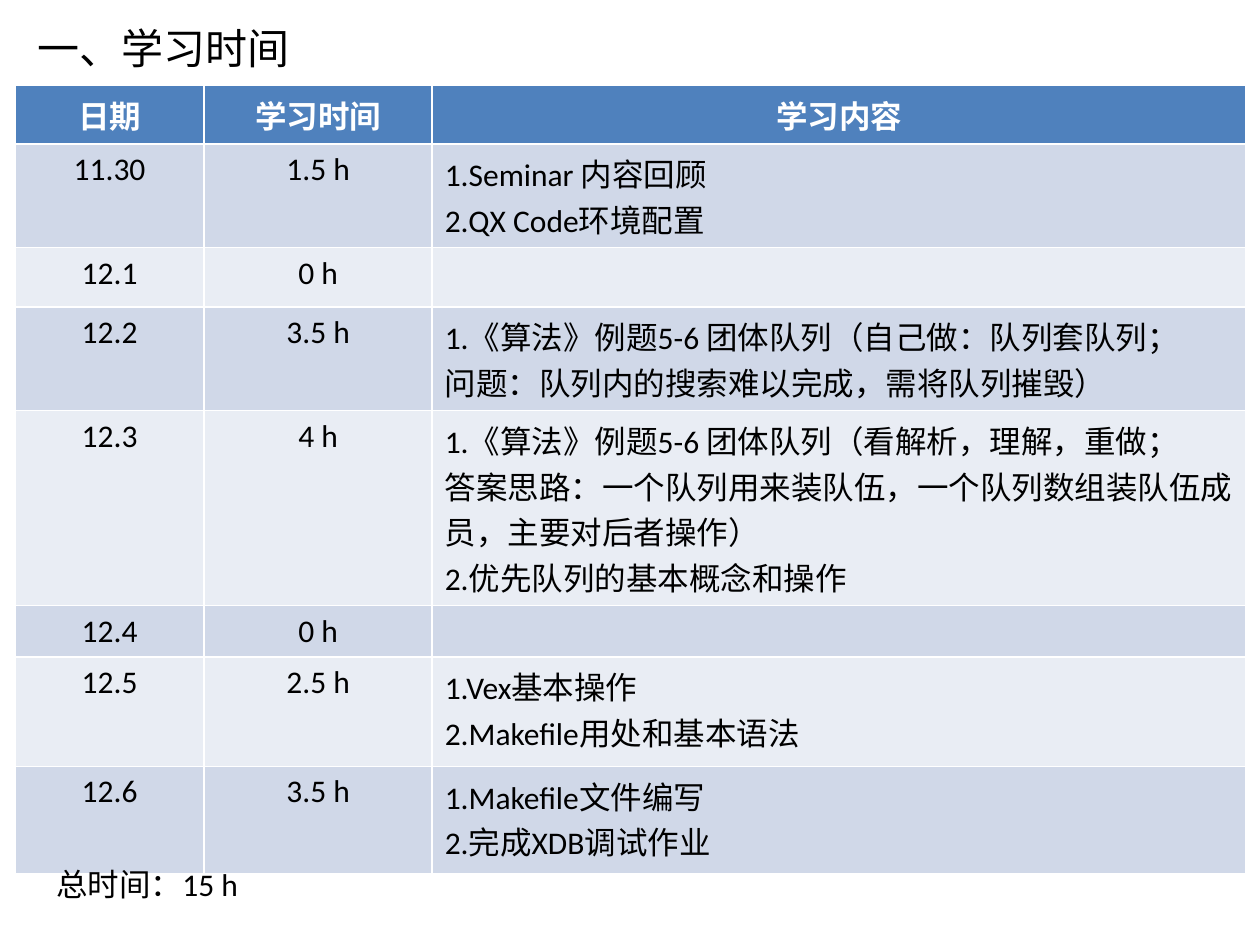
import pptx
import pptx.util
import pptx.dml.color
import pptx.enum.text

Inches = pptx.util.Inches
Pt = pptx.util.Pt
RGBColor = pptx.dml.color.RGBColor
PP_ALIGN = pptx.enum.text.PP_ALIGN

WHITE = RGBColor(0xFF, 0xFF, 0xFF)
BLACK = RGBColor(0, 0, 0)
HEADER_BLUE = RGBColor(0x4F, 0x81, 0xBD)
BAND_DARK = RGBColor(0xD0, 0xD8, 0xE8)
BAND_LIGHT = RGBColor(0xE9, 0xED, 0xF4)
FONT = "Calibri"

COLUMN_WIDTHS = [1.5, 1.81, 6.46]
HEADINGS = ["日期", "学习时间", "学习内容"]
HEADER_HEIGHT = 0.39
DAYS = [
    (0.7, "11.30", "1.5 h", ["1.Seminar 内容回顾", "2.QX Code环境配置"]),
    (0.47, "12.1", "0 h", []),
    (0.55, "12.2", "3.5 h", ["1.《算法》例题5-6 团体队列（自己做：队列套队列；",
                             "问题：队列内的搜索难以完成，需将队列摧毁）"]),
    (0.65, "12.3", "4 h", ["1.《算法》例题5-6 团体队列（看解析，理解，重做；",
                           "答案思路：一个队列用来装队伍，一个队列数组装队伍成员，主要对后者操作）",
                           "2.优先队列的基本概念和操作"]),
    (0.4, "12.4", "0 h", []),
    (0.87, "12.5", "2.5 h", ["1.Vex基本操作", "2.Makefile用处和基本语法"]),
    (0.85, "12.6", "3.5 h", ["1.Makefile文件编写", "2.完成XDB调试作业"]),
]


def write_lines(tf, lines, size=18, color=BLACK, bold=False, align=PP_ALIGN.LEFT):
    for i, line in enumerate(lines):
        p = tf.add_paragraph() if i else tf.paragraphs[0]
        p.alignment = align
        r = p.add_run()
        r.text = line
        r.font.name = FONT
        r.font.size = Pt(size)
        r.font.bold = bold
        r.font.color.rgb = color


def fill_cell(cell, lines, fill, **style):
    cell.fill.solid()
    cell.fill.fore_color.rgb = fill
    write_lines(cell.text_frame, lines, **style)


def add_text(slide, left, top, width, height, text, size):
    sp = slide.shapes.add_textbox(Inches(left), Inches(top), Inches(width), Inches(height))
    tf = sp.text_frame
    tf.word_wrap = True
    tf.auto_size = pptx.enum.text.MSO_AUTO_SIZE.SHAPE_TO_FIT_TEXT
    write_lines(tf, [text], size)


def add_schedule(slide):
    heights = [HEADER_HEIGHT] + [day[0] for day in DAYS]
    frame = slide.shapes.add_table(
        len(heights), len(COLUMN_WIDTHS), Inches(0.12), Inches(0.68),
        Inches(sum(COLUMN_WIDTHS)), Inches(sum(heights)))
    table = frame.table
    for column, width in zip(table.columns, COLUMN_WIDTHS):
        column.width = Inches(width)
    for row, height in zip(table.rows, heights):
        row.height = Inches(height)
    for col, heading in enumerate(HEADINGS):
        fill_cell(table.cell(0, col), [heading], HEADER_BLUE,
                  color=WHITE, bold=True, align=PP_ALIGN.CENTER)
    for row, (_, date, hours, topics) in enumerate(DAYS, 1):
        band = BAND_DARK if row % 2 else BAND_LIGHT
        fill_cell(table.cell(row, 0), [date], band, align=PP_ALIGN.CENTER)
        fill_cell(table.cell(row, 1), [hours], band, align=PP_ALIGN.CENTER)
        fill_cell(table.cell(row, 2), topics, band)


def main():
    prs = pptx.Presentation()
    prs.slide_width = Inches(10)
    prs.slide_height = Inches(7.5)
    slide = prs.slides.add_slide(prs.slide_layouts[6])
    add_schedule(slide)
    add_text(slide, 0.35, 6.82, 3.07, 0.4, "总时间：15 h", 18)
    add_text(slide, 0.2, 0.13, 2.68, 0.5, "一、学习时间", 24)
    prs.save("out.pptx")


if __name__ == "__main__":
    main()
